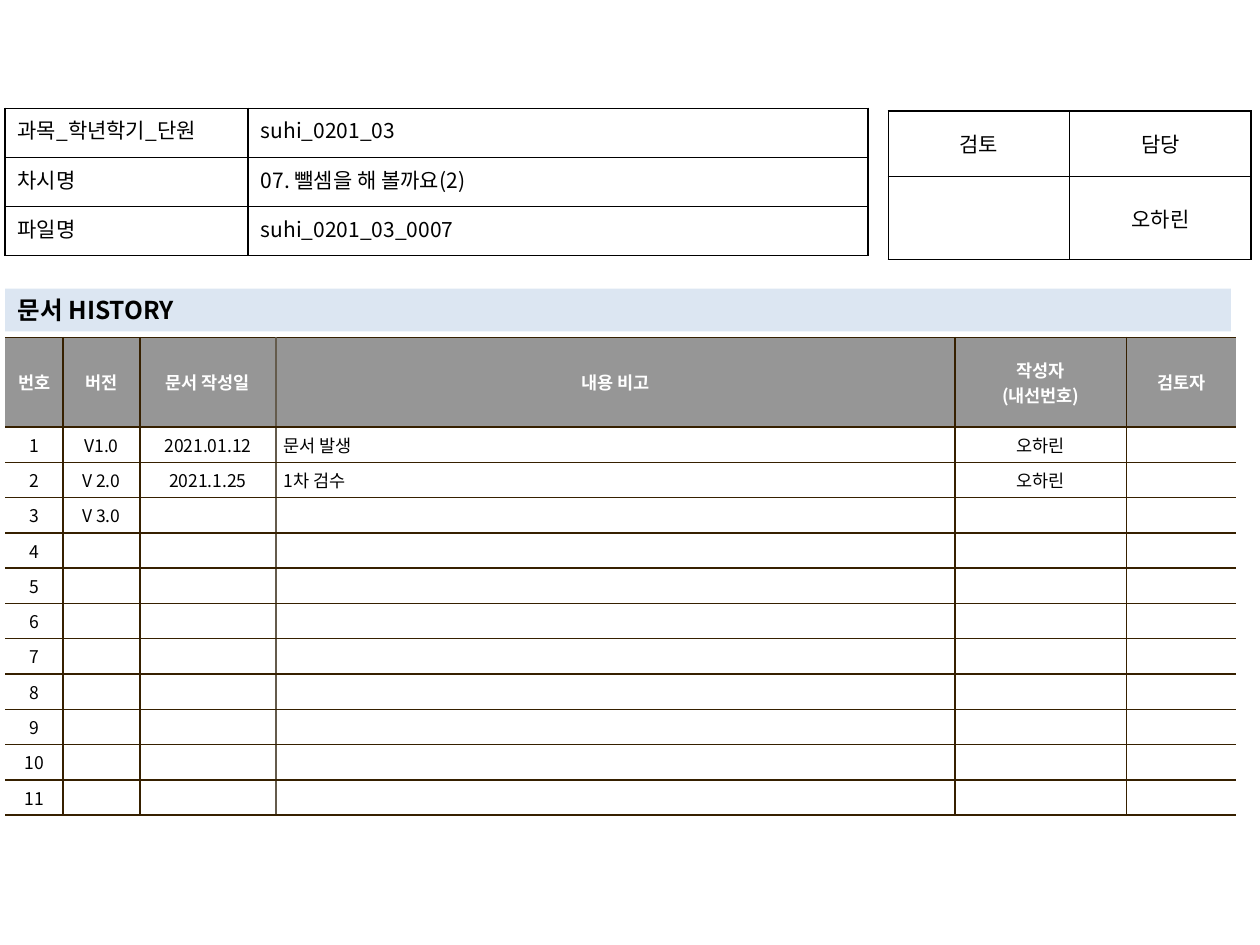
from lxml import etree
from pptx import Presentation
from pptx.dml.color import RGBColor
from pptx.enum.text import MSO_ANCHOR, MSO_AUTO_SIZE, PP_ALIGN
from pptx.oxml.ns import qn
from pptx.util import Inches, Pt

LEFT, CENTER, JUSTIFY = PP_ALIGN.LEFT, PP_ALIGN.CENTER, PP_ALIGN.JUSTIFY
TOP, MIDDLE = MSO_ANCHOR.TOP, MSO_ANCHOR.MIDDLE
FONT = "Noto Sans CJK KR"
COLORS = {"text": "000000", "white": "FFFFFF", "header": "969696",
          "bar": "DCE6F2", "grid": "362000", "note_edge": "645B4C"}

HEADING = "문서 HISTORY"
LESSON = [
    ("과목_학년학기_단원", "suhi_0201_03"),
    ("차시명", "07. 뺄셈을 해 볼까요(2)"),
    ("파일명", "suhi_0201_03_0007"),
]
APPROVAL = [("검토", "담당"), ("", "오하린")]
HISTORY_HEADER = ("번호", "버전", "문서 작성일", "내용 비고", "작성자\n(내선번호)", "검토자")
REVISIONS = [
    ("V1.0", "2021.01.12", "문서 발생", "오하린", ""),
    ("V 2.0", "2021.1.25", "1차 검수", "오하린", ""),
    ("V 3.0", "", "", "", ""),
]
HISTORY_LINES = 11
NOTE_COLUMN = 3


def style_font(font, size, color, bold=False):
    font.size, font.bold, font.name = Pt(size), bold, FONT
    font.color.rgb = RGBColor.from_string(COLORS[color])


def style_text(text_frame, size, color, align, bold=False):
    for paragraph in text_frame.paragraphs:
        paragraph.alignment = align
        for run in paragraph.runs:
            style_font(run.font, size, color, bold)
            east_asian = etree.SubElement(run.font._element, qn("a:ea"))
            east_asian.set("typeface", FONT)
        if not paragraph.runs:
            # Keeps an empty cell from growing to the default text size.
            end = etree.SubElement(paragraph._p, qn("a:endParaRPr"))
            end.set("sz", str(size * 100))


def set_borders(cell, edges):
    """Draw 1 pt borders; edges maps L, R, T, B to a color name or None."""
    properties = cell._tc.get_or_add_tcPr()
    for position, side in enumerate("LRTB"):
        line = etree.Element(qn(f"a:ln{side}"), w=str(Pt(1)))
        if edges[side]:
            fill = etree.SubElement(line, qn("a:solidFill"))
            etree.SubElement(fill, qn("a:srgbClr"), val=COLORS[edges[side]])
        else:
            etree.SubElement(line, qn("a:noFill"))
        properties.insert(position, line)


def add_grid(slide, left, top, widths, heights, rows, margins, anchor):
    """Add an unbanded table and return its cells as a list of rows."""
    table = slide.shapes.add_table(
        len(heights), len(widths), Inches(left), Inches(top),
        Inches(sum(widths)), Inches(sum(heights))).table
    table.first_row = table.horz_banding = False
    for column, width in zip(table.columns, widths):
        column.width = Inches(width)
    for row, height in zip(table.rows, heights):
        row.height = Inches(height)
    side, end = margins
    cells = [list(row.cells) for row in table.rows]
    for row, texts in zip(cells, rows):
        for cell, text in zip(row, texts):
            cell.text_frame.text = text
            cell.vertical_anchor = anchor
            cell.margin_left = cell.margin_right = Inches(side)
            cell.margin_top = cell.margin_bottom = Inches(end)
            cell.fill.background()
    return cells


def add_history(slide):
    blank = ("",) * (len(HISTORY_HEADER) - 1)
    revisions = REVISIONS + [blank] * (HISTORY_LINES - len(REVISIONS))
    rows = [HISTORY_HEADER] + [(str(n), *rev) for n, rev in enumerate(revisions, 1)]
    cells = add_grid(slide, 0.04, 2.68, [0.46, 0.61, 1.08, 5.39, 1.36, 0.87],
                     [0.71] + [0.28] * HISTORY_LINES, rows, (0.06, 0.04), MIDDLE)
    inner = ["note_edge" if c == NOTE_COLUMN else "grid"
             for c in range(1, len(HISTORY_HEADER))]
    verticals = [None, *inner, None]
    for r, row in enumerate(cells):
        is_header = r == 0
        for c, cell in enumerate(row):
            is_note = c == NOTE_COLUMN and not is_header
            cell.fill.solid()
            cell.fill.fore_color.rgb = RGBColor.from_string(
                COLORS["header" if is_header else "white"])
            style_text(cell.text_frame, 10, "white" if is_header else "text",
                       LEFT if is_note else CENTER, is_header)
            if is_note:
                indent = cell.text_frame.paragraphs[0]._p.get_or_add_pPr()
                indent.set("marL", str(Inches(0.19)))
                indent.set("indent", str(-Inches(0.19)))
            set_borders(cell, {"L": verticals[c], "R": verticals[c + 1],
                               "T": "grid", "B": "grid"})


def add_form(slide, left, top, widths, heights, rows, anchor, aligns):
    """Add a black-ruled form; aligns holds one alignment per column."""
    for row in add_grid(slide, left, top, widths, heights, rows, (0.1, 0.05), anchor):
        for cell, align in zip(row, aligns):
            style_text(cell.text_frame, 12, "text", align)
            set_borders(cell, dict.fromkeys("LRTB", "text"))


def format_heading(heading):
    heading.left, heading.top = Inches(0.04), Inches(2.29)
    heading.width, heading.height = Inches(9.73), Inches(0.34)
    heading.fill.solid()
    heading.fill.fore_color.rgb = RGBColor.from_string(COLORS["bar"])
    frame = heading.text_frame
    frame.text = HEADING
    frame.auto_size = MSO_AUTO_SIZE.NONE
    frame.vertical_anchor = MIDDLE
    style_text(frame, 14, "text", LEFT, bold=True)


def main():
    presentation = Presentation()
    presentation.slide_width, presentation.slide_height = Inches(10), Inches(7.5)
    slide = presentation.slides.add_slide(presentation.slide_layouts[5])
    format_heading(slide.shapes.title)
    add_history(slide)
    add_form(slide, 7.05, 0.88, [1.44] * 2, [0.52, 0.66], APPROVAL,
             MIDDLE, [CENTER, CENTER])
    add_form(slide, 0.04, 0.86, [1.93, 4.92], [0.39] * 3, LESSON,
             TOP, [JUSTIFY, LEFT])
    presentation.save("out.pptx")


if __name__ == "__main__":
    main()
